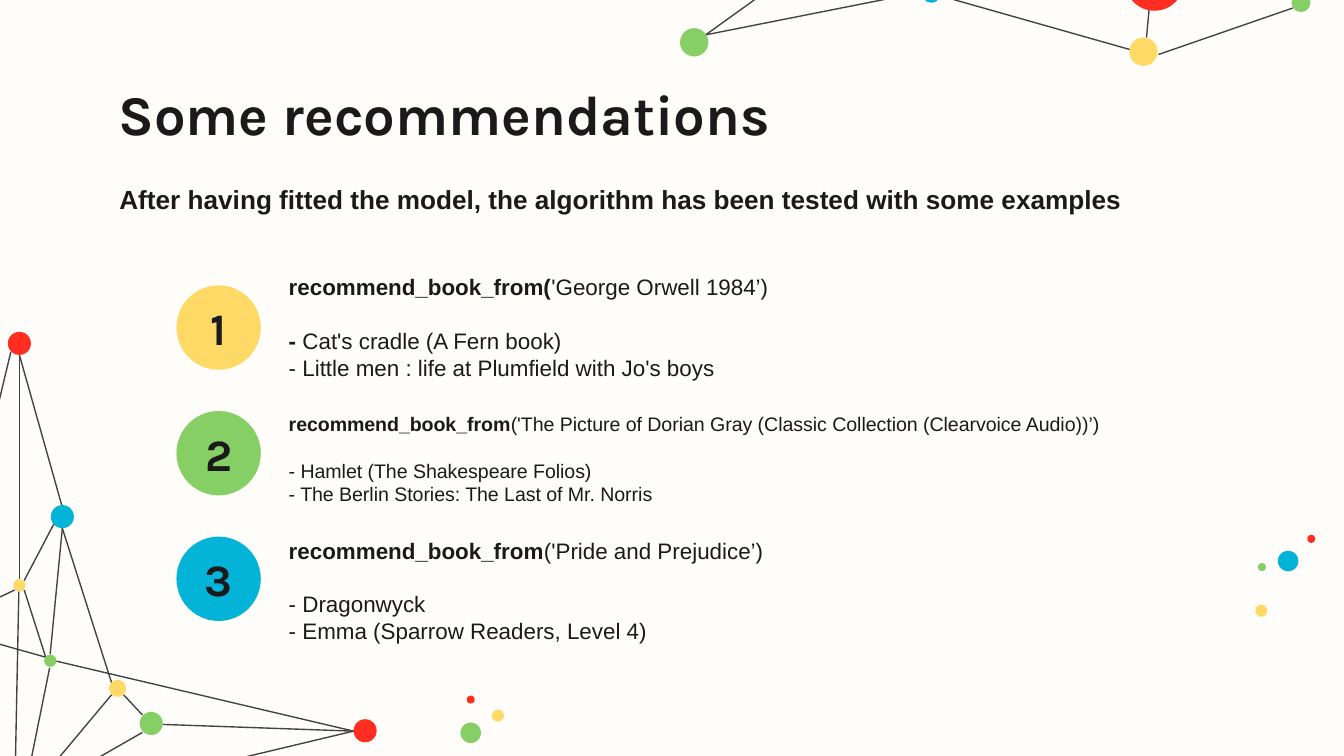
from dataclasses import dataclass
from typing import NamedTuple

from lxml import etree
from pptx import Presentation
from pptx.dml.color import RGBColor
from pptx.enum import shapes, text
from pptx.oxml.ns import qn
from pptx.util import Pt


@dataclass(frozen=True)
class Theme:
    paper: str = "FEFDFA"
    ink: str = "1A1A1A"
    line: str = "434343"
    gold: str = "FFD966"
    green: str = "86CF64"
    blue: str = "04B4D8"
    red: str = "FF2E20"
    head: str = "Karla"
    body: str = "Arial"
    title: float = 30
    lead: float = 14
    digit: float = 24
    item: float = 12
    small: float = 10.5


class Dot(NamedTuple):
    """A disc given by its centre and diameter."""
    x: float
    y: float
    size: float
    color: str


class Edge(NamedTuple):
    x1: float
    y1: float
    x2: float
    y2: float


class Item(NamedTuple):
    color: str
    size: float
    call: str
    arg: str
    mark: str  # bold start of the first result
    first: str
    last: str


T = Theme()

DOTS = [
    # Loose dots
    Dot(675.7, 327.2, 6.5, T.gold), Dot(690.1, 300.6, 11, T.blue),
    Dot(702.5, 288.7, 4.3, T.red), Dot(676.1, 303.8, 4.3, T.green),
    Dot(266.8, 383.4, 6.5, T.gold), Dot(252.2, 392.6, 11, T.green),
    Dot(252.2, 374.8, 4.3, T.red),
    # Top network
    Dot(371.9, 22.7, 15.2, T.green), Dot(618.5, -10.1, 31.7, T.red),
    Dot(499, -3.6, 10.2, T.blue), Dot(697, 1.4, 10.2, T.green),
    Dot(612.6, 27.7, 15.2, T.gold),
    # Left network
    Dot(195.6, 391.5, 12.4, T.red), Dot(10.4, 184, 12.4, T.red),
    Dot(10.4, 313.6, 6.6, T.gold), Dot(33.4, 276.8, 12.4, T.blue),
    Dot(81, 387.6, 12.4, T.green), Dot(63, 368.8, 9.2, T.gold),
    Dot(26.9, 354, 6.6, T.green),
]

EDGES = [
    # Top network
    Edge(378, 18.7, 485.3, -58.3), Edge(378, 18.7, 493.9, -4.3),
    Edge(692.6, 4.3, 620.6, 29.2), Edge(605.5, 26.6, 504, -2.2),
    Edge(614.2, 20.2, 615.6, 5),
    # Left network
    Edge(30.2, 354.2, 189.4, 391.7), Edge(33.1, 270.7, 10.4, 190.1),
    Edge(10.4, 310.3, 10.4, 190.1), Edge(13, 311, 28.8, 280.8),
    Edge(10.1, 316.8, 7.9, 427), Edge(13, 316.1, 24.5, 352.1),
    Edge(12.2, 429.1, 26.6, 357.8), Edge(14.4, 433.4, 189.4, 391.7),
    Edge(59.8, 372.2, 12.2, 429.1), Edge(33.4, 283, 26.9, 350.6),
    Edge(33.4, 283, 59.8, 365.8), Edge(12.2, 429.1, 76.3, 392.4),
    Edge(66.2, 372.2, 76.3, 383), Edge(87.1, 388.1, 189.4, 391.7),
    Edge(-26.6, 337.7, 24.5, 352.1), Edge(-28.8, 333.4, 7.9, 316.1),
    Edge(-28.8, 333.4, 5.8, 188.6),
]

ITEMS = [
    Item(T.gold, T.item, "recommend_book_from(", "'George Orwell 1984’)",
         "- ", "Cat's cradle (A Fern book)",
         "- Little men : life at Plumfield with Jo's boys"),
    Item(T.green, T.small, "recommend_book_from",
         "('The Picture of Dorian Gray (Classic Collection (Clearvoice Audio))’)",
         "", "- Hamlet (The Shakespeare Folios)",
         "- The Berlin Stories: The Last of Mr. Norris"),
    Item(T.blue, T.item, "recommend_book_from", "('Pride and Prejudice’)",
         "", "- Dragonwyck", "- Emma (Sparrow Readers, Level 4)"),
]


def add_dot(slide, dot: Dot) -> None:
    half = dot.size / 2
    disc = slide.shapes.add_shape(
        shapes.MSO_SHAPE.OVAL, Pt(dot.x - half), Pt(dot.y - half),
        Pt(dot.size), Pt(dot.size))
    disc.shadow.inherit = False
    disc.fill.solid()
    disc.fill.fore_color.rgb = RGBColor.from_string(dot.color)
    disc.line.fill.background()


def add_edge(slide, edge: Edge) -> None:
    line = slide.shapes.add_connector(
        shapes.MSO_CONNECTOR.STRAIGHT, *(Pt(v) for v in edge))
    line.line.color.rgb = RGBColor.from_string(T.line)
    line.line.width = Pt(0.75)
    etree.SubElement(line._element.spPr, qn("a:effectLst"))


def add_box(slide, x: float, y: float, w: float, h: float):
    return slide.shapes.add_textbox(Pt(x), Pt(y), Pt(w), Pt(h))


def set_text(box, paras: list, *, size: float, font: str = T.body,
             align=text.PP_ALIGN.LEFT, anchor=text.MSO_ANCHOR.TOP,
             lead=None, gap: float = 0) -> None:
    """Fill a box with paragraphs of (words, bold) runs; gap follows the first."""
    frame = box.text_frame
    frame.word_wrap = True
    frame.auto_size = text.MSO_AUTO_SIZE.NONE
    frame.vertical_anchor = anchor
    frame.margin_left = frame.margin_right = Pt(7.2)
    frame.margin_top = frame.margin_bottom = Pt(7.2)
    for i, runs in enumerate(paras):
        para = frame.add_paragraph() if i else frame.paragraphs[0]
        para.alignment = align
        para.space_before = Pt(0)
        para.space_after = Pt(0 if i else gap)
        if lead:
            para.line_spacing = lead
        for words, bold in runs:
            if words:
                run = para.add_run()
                run.text = words
                run.font.name = font
                run.font.size = Pt(size)
                run.font.bold = bold
                run.font.color.rgb = RGBColor.from_string(T.ink)


def add_item(slide, i: int, item: Item) -> None:
    mid = text.MSO_ANCHOR.MIDDLE
    row = 175.5 + 67.3 * i
    add_dot(slide, Dot(117.1, row, 45.2, item.color))
    set_text(add_box(slide, 92.2, row - 13.3, 49.8, 26.6),
             [[(str(i + 1), True)]], size=T.digit, font=T.head,
             align=text.PP_ALIGN.CENTER, anchor=mid)
    pitch = 1.2 * item.size
    set_text(add_box(slide, 147.6, 152.6 + 70.5 * i, 471.6, 45.4),
             [[(item.call, True), (item.arg, False)],
              [(item.mark, True), (item.first, False)],
              [(item.last, False)]],
             size=item.size, anchor=mid, lead=Pt(pitch), gap=pitch)


def main() -> None:
    deck = Presentation()
    deck.slide_width, deck.slide_height = Pt(720), Pt(405)
    slide = deck.slides.add_slide(deck.slide_layouts.get_by_name("Title Only"))
    back = slide.background.fill
    back.solid()
    back.fore_color.rgb = RGBColor.from_string(T.paper)

    for edge in EDGES:
        add_edge(slide, edge)
    for dot in DOTS:
        add_dot(slide, dot)

    title = slide.shapes.title
    title.left, title.top = Pt(56.2), Pt(35.3)
    title.width, title.height = Pt(607.7), Pt(45.4)
    set_text(title, [[("Some recommendations", True)]],
             size=T.title, font=T.head)
    set_text(add_box(slide, 56.9, 88.6, 607, 49),
             [[("After having fitted the model, the algorithm has been "
                "tested with some examples", True)]], size=T.lead, lead=1.15)
    for i, item in enumerate(ITEMS):
        add_item(slide, i, item)
    deck.save("out.pptx")


if __name__ == "__main__":
    main()
